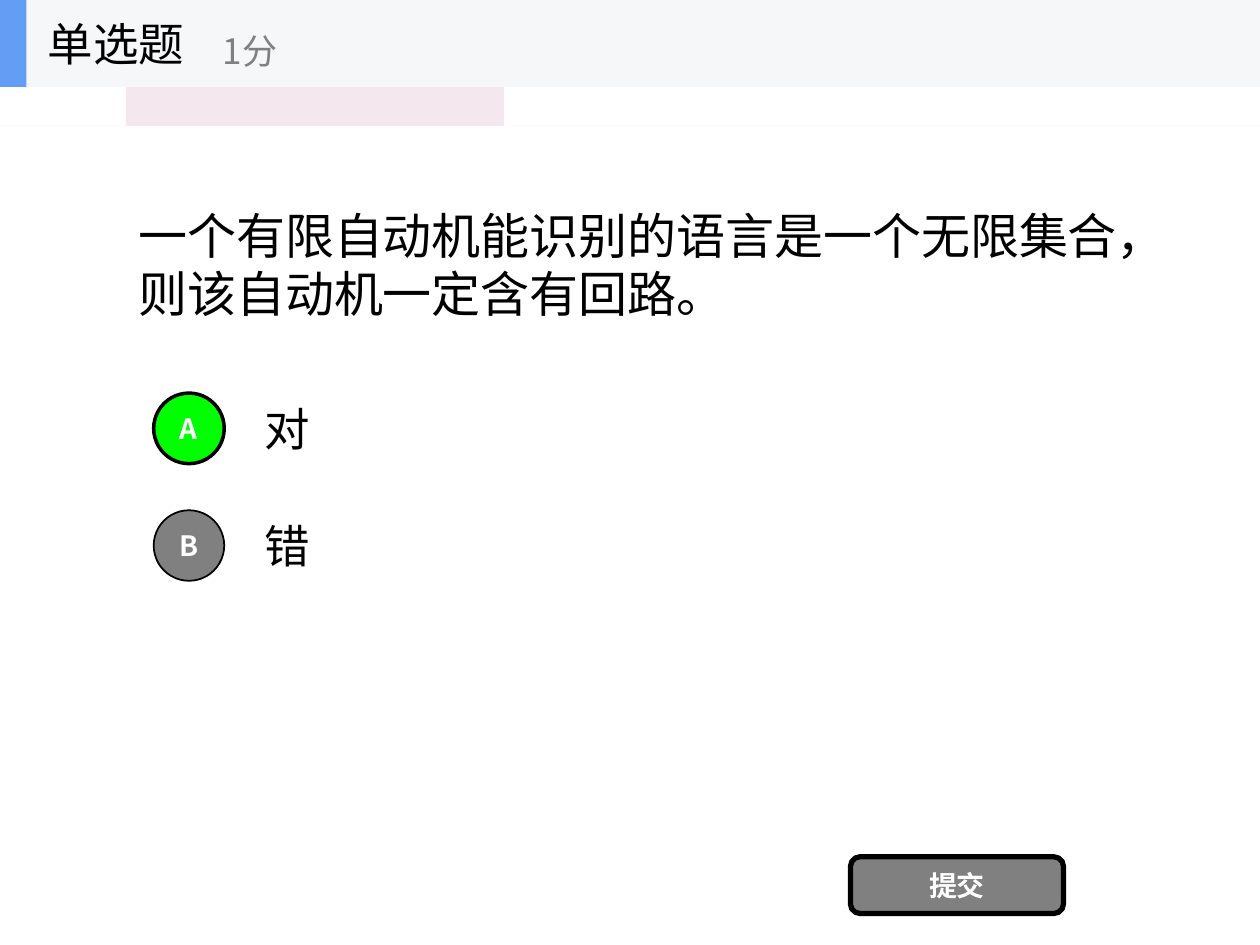
from pptx import Presentation
from pptx import util as u
from pptx.dml.color import RGBColor
from pptx.enum import shapes, text
from pptx.oxml.ns import qn

# Content
TITLE, POINTS = "单选题", "1分"
QUESTION = "一个有限自动机能识别的语言是一个无限集合，则该自动机一定含有回路。"
OPTIONS = [("A", "对", True), ("B", "错", False)]
SUBMIT = "提交"

# Theme
THEME = dict(
    font="Noto Sans CJK SC", question_font="Arial",
    ink="000000", white="FFFFFF", grey="808080", chosen="00FF00",
    band="F4E7ED", header="F6F7F8", accent="639EF4",
    question_pt=28, body_pt=26, points_pt=20, button_pt=16,
)

# Layout, in inches
W, H = 10, 7.5
HEADER_H = 0.69
ROW_TOP, ROW_STEP, ROW_H = 3.05, 0.93, 0.7
BADGE = 0.56
BAND = [(0, 1.03), (0.76, 1.03), (1.35, 0.39), (3.75, 0.39),
        (3.93, 0.6), (9.99, 0.59), (10.01, 1.38), (0.01, 1.36)]

prs = Presentation()
prs.slide_width, prs.slide_height = u.Inches(W), u.Inches(H)
s = prs.slides.add_slide(prs.slide_layouts[6])


def color(name):
    return RGBColor.from_string(THEME[name])


def paint(sp, fill, line_pt=0):
    sp.shadow.inherit = False
    sp.fill.solid()
    sp.fill.fore_color.rgb = color(fill)
    if line_pt:
        sp.line.color.rgb = color("ink")
        sp.line.width = u.Pt(line_pt)
    else:
        sp.line.fill.background()


def write(sp, words, size, ink="ink", font="font", bold=False,
          align=text.PP_ALIGN.LEFT):
    tf = sp.text_frame
    tf.word_wrap = True
    tf.vertical_anchor = text.MSO_ANCHOR.MIDDLE
    p = tf.paragraphs[0]
    p.alignment = align
    r = p.add_run()
    r.text = words
    r.font.size, r.font.bold = u.Pt(THEME[size]), bold
    r.font.color.rgb = color(ink)
    r.font.name = THEME[font]
    # East Asian typeface
    ea = r.font._element.makeelement(qn("a:ea"), {"typeface": THEME[font]})
    r.font._element.find(qn("a:latin")).addnext(ea)


def label(box, words, size, **style):
    write(s.shapes.add_textbox(*map(u.Inches, box)), words, size, **style)


def block(kind, box, fill, line_pt=0):
    sp = s.shapes.add_shape(kind, *map(u.Inches, box))
    paint(sp, fill, line_pt)
    return sp


def button(kind, box, words, fill, line_pt):
    sp = block(kind, box, fill, line_pt)
    tf = sp.text_frame
    tf.margin_left = tf.margin_right = tf.margin_top = tf.margin_bottom = 0
    write(sp, words, "button_pt", "white", bold=True,
          align=text.PP_ALIGN.CENTER)


# Pink band behind the header
builder = s.shapes.build_freeform(*BAND[0], scale=u.Inches(1))
builder.add_line_segments(BAND[1:], close=True)
paint(builder.convert_to_shape(), "band")

# Question
label((W * 0.1, 1.16, W * 0.8, 1.87), QUESTION, "question_pt",
      font="question_font")

# Answer options
for i, (letter, answer, chosen) in enumerate(OPTIONS):
    top = ROW_TOP + i * ROW_STEP
    label((W * 0.2, top, W * 0.7, ROW_H), answer, "body_pt")
    button(shapes.MSO_SHAPE.OVAL,
           (1.22, top + (ROW_H - BADGE) / 2, BADGE, BADGE), letter,
           "chosen" if chosen else "grey", 2 if chosen else 1)

# Submit button
button(shapes.MSO_SHAPE.ROUNDED_RECTANGLE, (6.75, 6.8, 1.69, 0.45),
       SUBMIT, "grey", 3)

# Header
block(shapes.MSO_SHAPE.RECTANGLE, (0, 0, W, HEADER_H), "header")
block(shapes.MSO_SHAPE.RECTANGLE, (0, 0, 0.21, HEADER_H), "accent")
label((0.28, 0, 2.08, HEADER_H), TITLE, "body_pt")
label((1.67, 0.12, 2.5, 0.56), POINTS, "points_pt", ink="grey")

prs.save("out.pptx")
